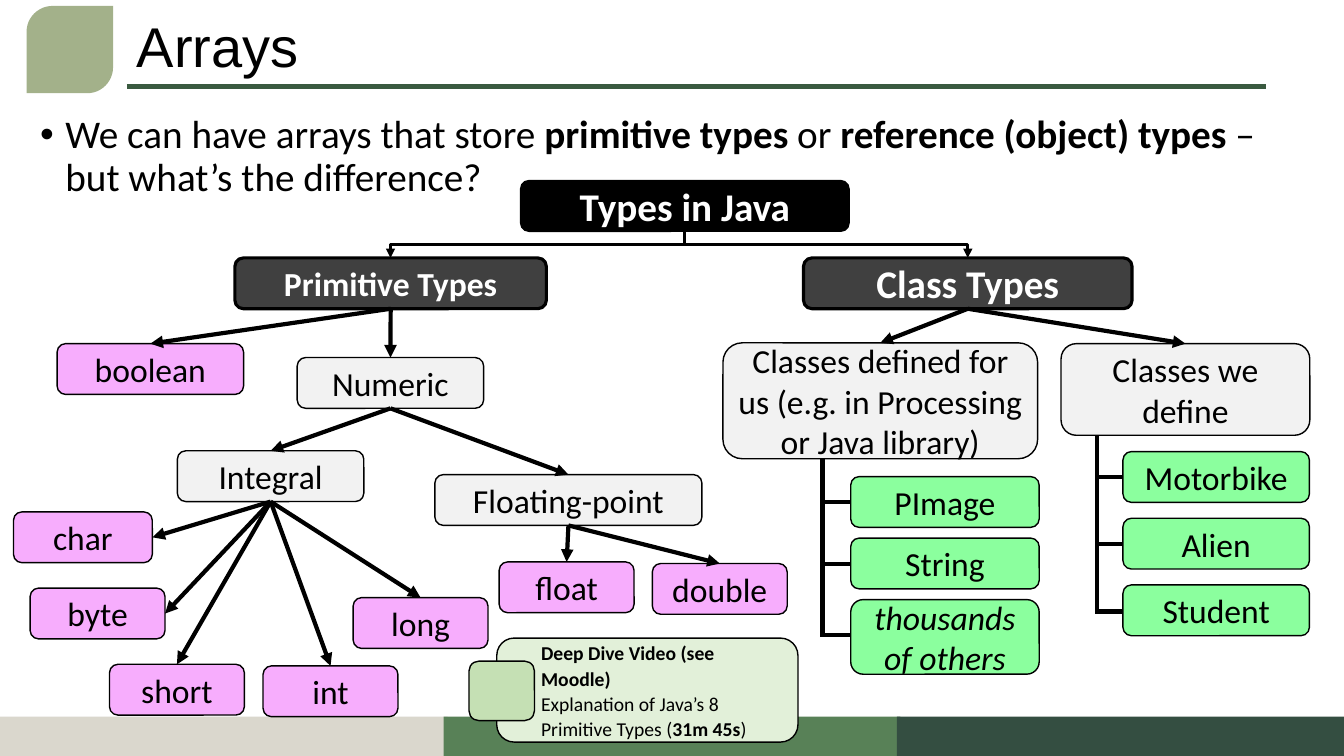
from pptx import Presentation
from pptx.dml.color import RGBColor
from pptx.enum.shapes import MSO_CONNECTOR as Link, MSO_SHAPE as Kind
from pptx.enum.text import MSO_ANCHOR as Anchor, PP_ALIGN as Align
from pptx.oxml.ns import qn
from pptx.util import Cm, Pt
from lxml.etree import SubElement

COLOURS = {
    "black": "000000", "white": "FFFFFF", "charcoal": "404040", "grey": "F2F2F2",
    "pink": "F7ADFD", "mint": "8BFF9E", "rule": "3A5A40", "sage": "A3B18A",
    "sand": "DAD7CD", "green": "588157", "forest": "344E41",
    "note": "E2F0D9", "note tab": "C5E0B4",
}

deck = Presentation()
deck.slide_width, deck.slide_height = Cm(33.87), Cm(19.05)
page = deck.slides.add_slide(deck.slide_layouts[6])


def add_panel(kind, left, top, width, height, fill, outline=0):
    panel = page.shapes.add_shape(kind, Cm(left), Cm(top), Cm(width), Cm(height))
    panel.shadow.inherit = False
    panel.fill.solid()
    panel.fill.fore_color.rgb = RGBColor.from_string(COLOURS[fill])
    if outline:
        panel.line.color.rgb = RGBColor.from_string(COLOURS["black"])
        panel.line.width = Pt(outline)
    else:
        panel.line.fill.background()
    return panel


def add_line(x1, y1, x2, y2, kind=Link.STRAIGHT, weight=3, colour="black", arrow=False):
    line = page.shapes.add_connector(kind, Cm(x1), Cm(y1), Cm(x2), Cm(y2))
    line.line.color.rgb = RGBColor.from_string(COLOURS[colour])
    line.line.width = Pt(weight)
    if arrow:
        SubElement(line.line._get_or_add_ln(), qn("a:tailEnd"), type="triangle")
    SubElement(line._element.spPr, qn("a:effectLst"))
    return line


# Frame: title rule, footer bars, corner leaf
add_line(3.2, 2.18, 31.9, 2.18, colour="rule")
for left, width, fill in [(0, 11.28, "sand"), (11.18, 11.51, "green"), (22.6, 11.27, "forest")]:
    add_panel(Kind.RECTANGLE, left, 18.06, width, 0.99, fill)
leaf = add_panel(Kind.ROUND_2_DIAG_RECTANGLE, 0.67, 0.15, 2.18, 2.2, "sage")
leaf.adjustments[0] = 0.3

# Title and bullet; texts holds (shape, runs, size, colour, alignment, font)
# and each run is (text, bold, italic)
title = page.shapes.add_textbox(Cm(3.2), Cm(0.33), Cm(30.66), Cm(1.83))
title.text_frame.vertical_anchor = Anchor.MIDDLE
body = page.shapes.add_textbox(Cm(0.76), Cm(2.77), Cm(31.45), Cm(3.5))
para_props = body.text_frame.paragraphs[0]._p.get_or_add_pPr()
para_props.set("marL", str(Cm(0.64)))
para_props.set("indent", str(-Cm(0.64)))
SubElement(para_props, qn("a:buFont"), typeface="Arial")
SubElement(para_props, qn("a:buChar"), char="•")
texts = [
    (title, [("Arrays", False, False)], 40, "black", Align.LEFT, "Arial"),
    (body, [("We can have arrays that store ", False, False),
            ("primitive types ", True, False),
            ("or ", False, False),
            ("reference (object) types ", True, False),
            ("– but what’s the difference?", False, False)],
     28, "black", Align.LEFT, "Calibri"),
]

# Tree boxes; style: fill, outline, text size, text colour, bold, italic
STYLES = {
    "root": ("black", 1, 28, "white", True, False),
    "primitive": ("charcoal", 2.25, 24, "white", True, False),
    "class": ("charcoal", 2.25, 28, "white", True, False),
    "group": ("grey", 1, 24, "black", False, False),
    "type": ("pink", 1, 24, "black", False, False),
    "object": ("mint", 1, 24, "black", False, False),
    "others": ("mint", 1, 24, "black", False, True),
}
LIBRARY = "Classes defined for us (e.g. in Processing or Java library)"
OWN = "Classes we define"
ROW = 1.28
tree = [
    ("Types in Java", "root", 13.12, 4.55, 8.28, ROW),
    ("Primitive Types", "primitive", 5.92, 6.5, 7.85, ROW),
    ("Class Types", "class", 20.25, 6.5, 8.28, ROW),
    (LIBRARY, "group", 18.22, 8.64, 7.93, 2.92),
    (OWN, "group", 26.74, 8.66, 6.27, 2.31),
    ("boolean", "type", 1.44, 8.66, 4.7, ROW),
    ("Numeric", "group", 7.49, 9.01, 4.7, ROW),
    ("Integral", "group", 4.47, 11.36, 4.7, ROW),
    ("Floating-point", "group", 10.96, 11.96, 6.73, ROW),
    ("char", "type", 0.34, 12.9, 3.5, ROW),
    ("byte", "type", 0.76, 14.82, 3.4, ROW),
    ("short", "type", 2.76, 16.74, 3.4, ROW),
    ("int", "type", 6.63, 16.78, 3.4, ROW),
    ("long", "type", 8.9, 15.06, 3.4, ROW),
    ("float", "type", 12.58, 14.16, 3.4, ROW),
    ("double", "type", 16.44, 14.2, 3.4, ROW),
    ("PImage", "object", 21.44, 12.01, 4.75, ROW),
    ("String", "object", 21.44, 13.56, 4.75, ROW),
    ("thousands of others", "others", 21.44, 15.11, 4.75, 1.88),
    ("Motorbike", "object", 28.3, 11.38, 4.7, ROW),
    ("Alien", "object", 28.3, 13.06, 4.7, ROW),
    ("Student", "object", 28.3, 14.74, 4.7, ROW),
]
boxes = {}
for label, style, *place in tree:
    fill, outline, size, colour, bold, italic = STYLES[style]
    boxes[label] = add_panel(Kind.ROUNDED_RECTANGLE, *place, fill, outline)
    texts.append((boxes[label], [(label, bold, italic)], size, colour, Align.CENTER, "Calibri"))
library_frame = boxes[LIBRARY].text_frame
library_frame.margin_left = library_frame.margin_right = Cm(0.2)

# Straight arrows from the bottom of a parent to the top or right side of a child
TOP, BOTTOM, RIGHT = 0, 2, 3
children = {
    "Primitive Types": ["boolean", "Numeric"],
    "Numeric": ["Integral", "Floating-point"],
    "Integral": ["char", "byte", "short", "int", "long"],
    "Floating-point": ["float", "double"],
    "Class Types": [LIBRARY, OWN],
}
for parent, names in children.items():
    for name in names:
        arrow = add_line(0, 0, 1, 1, arrow=True)
        arrow.begin_connect(boxes[parent], BOTTOM)
        arrow.end_connect(boxes[name], RIGHT if name in ("char", "byte") else TOP)

# Elbow arrows from the root: a flat elbow turned a quarter to leave downwards
root_x, root_y, drop = 17.26, 5.84, 0.66
for target_x, turn in [(9.84, 90), (24.39, 270)]:
    run = abs(target_x - root_x)
    middle_x, middle_y = (root_x + target_x) / 2, root_y + drop / 2
    half = drop / 2 if turn == 90 else -drop / 2
    elbow = add_line(middle_x - half, middle_y - run / 2, middle_x + half, middle_y + run / 2,
                     kind=Link.ELBOW, weight=2.25, arrow=True)
    elbow._element.spPr.xfrm.set("rot", str(turn * 60000))

# Trunks with a branch to each class
for trunk_x, top, bottom, leaf_x, branches in [
    (20.73, 11.56, 16.05, 21.44, (12.65, 14.21, 16.0)),
    (27.64, 10.97, 15.47, 28.3, (12.02, 13.71, 15.41)),
]:
    add_line(trunk_x, top, trunk_x, bottom)
    for y in branches:
        add_line(leaf_x, y, trunk_x, y)

# Video note
note = add_panel(Kind.ROUNDED_RECTANGLE, 12.52, 16.08, 7.59, 2.62, "note", 1)
frame = note.text_frame
frame.margin_left, frame.margin_right = Cm(0.99), Cm(0.4)
frame.margin_top = frame.margin_bottom = 0
add_panel(Kind.ROUNDED_RECTANGLE, 11.82, 16.66, 1.65, 1.5, "note tab", 1)
texts.append((note, [("Deep Dive Video (see Moodle)\n", True, False),
                     ("Explanation of Java’s 8 Primitive Types (", False, False),
                     ("31m 45s", True, False),
                     (")", False, False)], 14, "black", Align.LEFT, "Calibri"))

# Text, run by run
for shape, runs, size, colour, align, font in texts:
    shape.text_frame.word_wrap = True
    para = shape.text_frame.paragraphs[0]
    para.alignment = align
    for text, bold, italic in runs:
        span = para.add_run()
        span.text = text.rstrip("\n")
        span.font.name, span.font.size = font, Pt(size)
        span.font.bold, span.font.italic = bold, italic
        span.font.color.rgb = RGBColor.from_string(COLOURS[colour])
        if text.endswith("\n"):
            para.add_line_break()
for shape, spacing in [(title, 0.9), (body, 0.9), (note, 1.07)]:
    shape.text_frame.paragraphs[0].line_spacing = spacing
note.text_frame.paragraphs[0].space_after = Pt(8)

deck.save("out.pptx")
